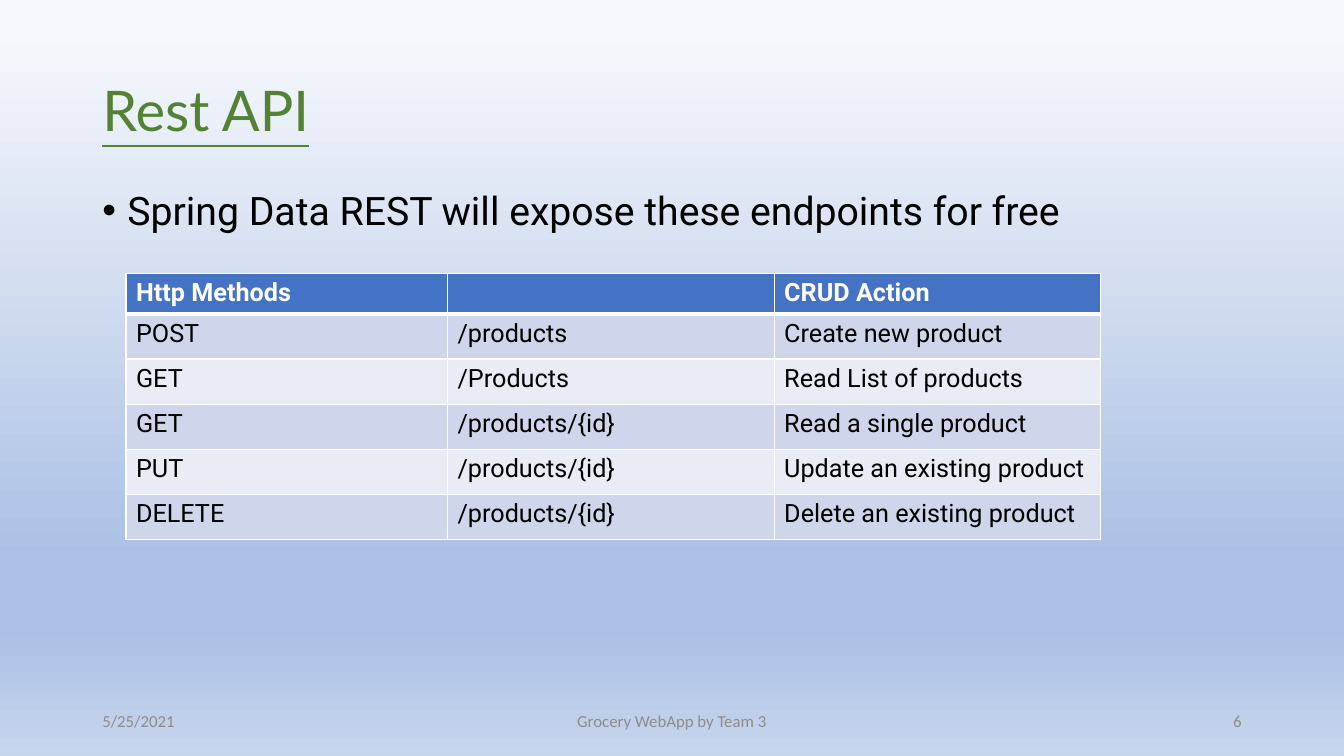
from dataclasses import dataclass
from lxml.etree import SubElement as Sub
from pptx import Presentation
from pptx.dml.color import RGBColor as RGB
from pptx.enum.text import MSO_ANCHOR as Anchor, MSO_AUTO_SIZE as Auto, PP_ALIGN as Align
from pptx.oxml.ns import qn
from pptx.util import Pt


@dataclass(frozen=True)
class Theme:
    green: str = "548235"
    black: str = "000000"
    white: str = "FFFFFF"
    gray: str = "8C8C8C"
    head: str = "4472C4"
    bands: tuple = ("CFD5EA", "E9EBF5")
    sky: tuple = ((4, "F6F8FC"), (74, "ABC0E4"), (83, "ABC0E4"), (100, "C7D5ED"))
    title: int = 40
    body: int = 28
    cell: int = 18
    foot: int = 12


THEME = Theme()
ROWS = [
    ("Http Methods", "", "CRUD Action"),
    ("POST", "/products", "Create new product"),
    ("GET", "/Products", "Read List of products"),
    ("GET", "/products/{id}", "Read a single product"),
    ("PUT", "/products/{id}", "Update an existing product"),
    ("DELETE", "/products/{id}", "Delete an existing product"),
]


def write(frame, text, size, color, font="Roboto", bold=False, line=None,
          align=Align.LEFT, anchor=Anchor.TOP, under=None, before=None):
    frame.word_wrap = True
    frame.vertical_anchor = anchor
    para = frame.paragraphs[0]
    para.alignment = align
    para.line_spacing = line
    if before:
        para.space_before = Pt(before)
    run = para.add_run()
    run.text = text
    face = run.font
    face.name, face.size = font, Pt(size)
    face.bold, face.underline = bold, under
    face.color.rgb = RGB.from_string(color)
    return para


def add_box(slide, box):
    return slide.shapes.add_textbox(*map(Pt, box)).text_frame


def add_sky(slide):
    fill = slide.background.fill
    fill.gradient()
    fill.gradient_angle = 270
    stops = slide.element.find(".//" + qn("a:gsLst"))
    for stop in list(stops):
        stops.remove(stop)
    for pos, color in THEME.sky:
        stop = Sub(stops, qn("a:gs"), pos=str(pos * 1000))
        Sub(stop, qn("a:srgbClr"), val=color)


def add_title(slide, box):
    title = slide.shapes.title
    title.left, title.top, title.width, title.height = map(Pt, box)
    frame = title.text_frame
    frame.auto_size = Auto.NONE
    write(frame, "Rest API", THEME.title, THEME.green, font="Lato",
          line=0.9, anchor=Anchor.MIDDLE, under=True)


def add_body(slide, box):
    para = write(add_box(slide, box),
                 "Spring Data REST will expose these endpoints for free",
                 THEME.body, THEME.black, line=0.9, before=10)
    props = para._p.get_or_add_pPr()
    props.set("marL", str(Pt(18)))
    props.set("indent", str(Pt(-18)))
    Sub(props, qn("a:buFont"), typeface="Arial")
    Sub(props, qn("a:buChar"), char="•")


def add_edges(cell, top, base):
    props = cell._tc.get_or_add_tcPr()
    for side, width in zip("LRTB", (1, 1, top, base)):
        edge = Sub(props, qn("a:ln" + side), w=str(Pt(width)))
        fill = Sub(edge, qn("a:solidFill"))
        Sub(fill, qn("a:srgbClr"), val=THEME.white)


def add_grid(slide, box):
    left, top, width, height = box
    grid = slide.shapes.add_table(len(ROWS), 3, *map(Pt, box)).table
    grid.first_row = grid.horz_banding = False
    first = 229.7
    rest = (width - first) / 2
    for col, size in zip(grid.columns, (first, rest, rest)):
        col.width = Pt(size)
    head = 28
    for r, texts in enumerate(ROWS):
        grid.rows[r].height = Pt(head if r == 0 else (height - head) / (len(ROWS) - 1))
        for c, text in enumerate(texts):
            cell = grid.cell(r, c)
            add_edges(cell, 3 if r == 1 else 1, 3 if r == 0 else 1)
            cell.fill.solid()
            shade = THEME.bands[(r - 1) % 2] if r else THEME.head
            cell.fill.fore_color.rgb = RGB.from_string(shade)
            if text:
                write(cell.text_frame, text, THEME.cell,
                      THEME.black if r else THEME.white, bold=r == 0)


def add_foot(slide, box):
    left, top, width, height = box
    side, mid = 216, 324
    parts = [
        ("5/25/2021", left, side, Align.LEFT),
        ("Grocery WebApp by Team 3", left + (width - mid) / 2, mid, Align.CENTER),
        ("6", left + width - side, side, Align.RIGHT),
    ]
    for text, x, span, align in parts:
        write(add_box(slide, (x, top, span, height)), text, THEME.foot,
              THEME.gray, font="Calibri", align=align, anchor=Anchor.MIDDLE)


def main():
    deck = Presentation()
    deck.slide_width, deck.slide_height = Pt(960), Pt(540)
    slide = deck.slides.add_slide(deck.slide_layouts[5])
    left, width = 66, 828
    add_sky(slide)
    add_title(slide, (left, 28.8, width, 104.4))
    add_body(slide, (left, 133.2, width, 326.2))
    add_grid(slide, (90, 195.4, 696.3, 189.2))
    add_foot(slide, (left, 500.5, width, 28.8))
    deck.save("out.pptx")


if __name__ == "__main__":
    main()
